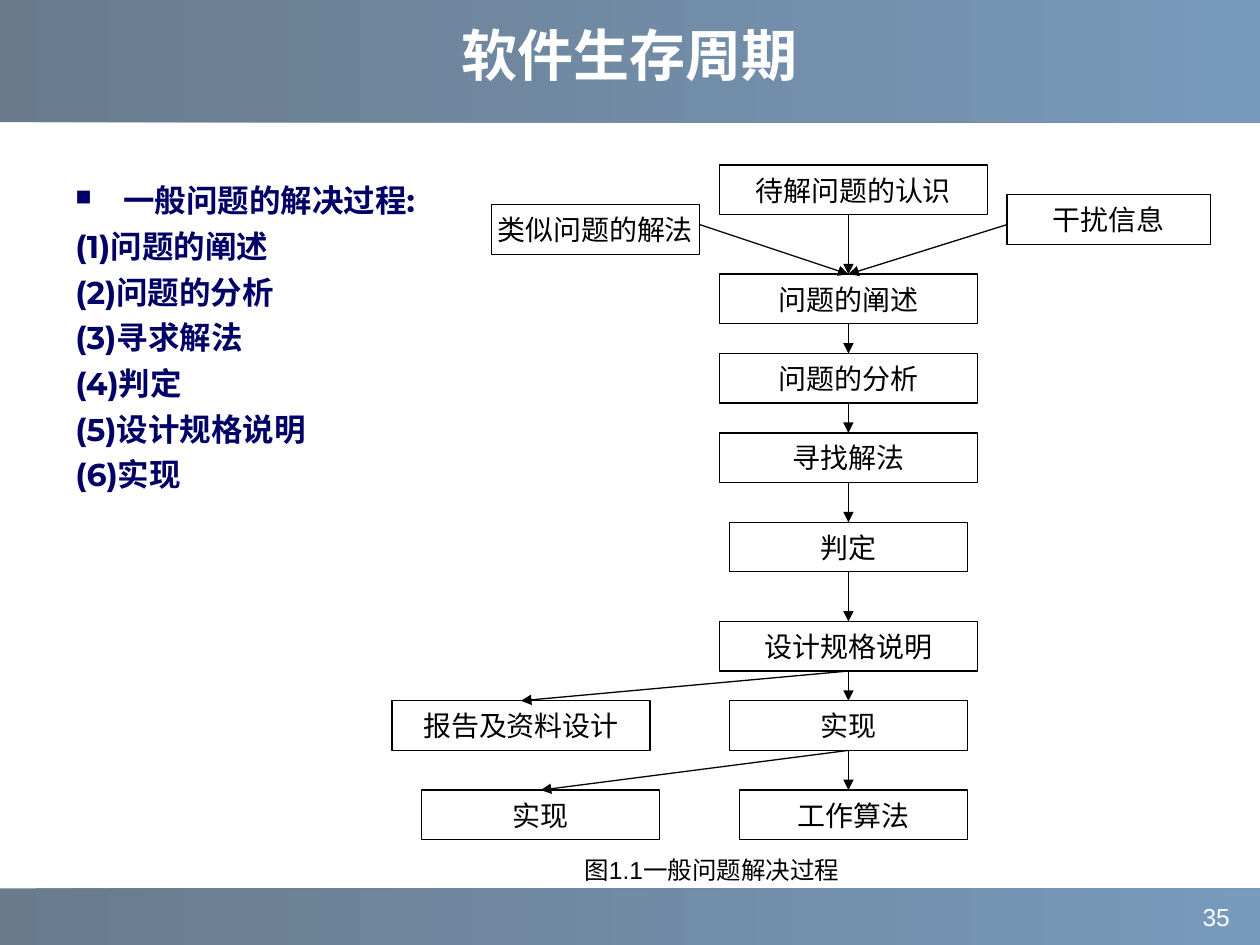
from dataclasses import dataclass

from lxml import etree
from pptx import Presentation
from pptx import util as u
from pptx.dml.color import RGBColor
from pptx.enum import shapes, text
from pptx.oxml.ns import qn


@dataclass(frozen=True)
class Theme:
    white: str = "FFFFFF"
    ink: str = "000000"
    navy: str = "000066"
    band_colors: tuple[str, str] = ("1C3853", "336699")
    band_alpha: int = 66
    title_font: str = "Noto Sans CJK SC"
    list_font: str = "Montserrat"
    font: str = "Arial"
    title_size: int = 32
    list_size: int = 18
    step_size: int = 16
    small_size: int = 14
    line_width: float = 0.75


@dataclass(frozen=True)
class Area:
    """Left, top, width and height in percent of the slide."""
    left: float
    top: float
    width: float
    height: float

    def emu(self) -> tuple[int, int, int, int]:
        return (int(WIDTH * self.left / 100), int(HEIGHT * self.top / 100),
                int(WIDTH * self.width / 100), int(HEIGHT * self.height / 100))


@dataclass(frozen=True)
class Step:
    """A flowchart step placed by grid column, row and column span."""
    label: str
    col: float
    row: float
    span: float


THEME = Theme()
WIDTH, HEIGHT = u.Inches(10), u.Inches(7.5)
UNIT = u.Mm(2)
ORIGIN_X, ORIGIN_Y = u.Inches(5.71), u.Inches(1.31)
STEP_ROWS = 5
AXIS = 13
SIDE_ROW = 6

BANDS = [Area(0, -0.4, 100, 13.33), Area(0, 94, 100, 6.67)]
TITLE = Area(5, 0, 90, 11.47)
OUTLINE = Area(5, 18.53, 90, 70.8)
CAPTION = Area(45.4, 89.87, 38, 4.53)
PAGE_NUMBER = Area(91, 94.8, 7.6, 5.6)

HEADING = "一般问题的解决过程:"
STAGES = ["问题的阐述", "问题的分析", "寻求解法", "判定", "设计规格说明", "实现"]

MAIN_STEPS = [
    Step("待解问题的认识", 0, 0, 27),
    Step("问题的阐述", 0, 11, 26),
    Step("问题的分析", 0, 19, 26),
    Step("寻找解法", 0, 27, 26),
    Step("判定", 1, 36, 24),
    Step("设计规格说明", 0, 46, 26),
    Step("实现", 1, 54, 24),
    Step("工作算法", 2, 63, 23),
]
REPORT = Step("报告及资料设计", -33, 54, 26)
REALISATION = Step("实现", -30, 63, 24)
NOISE = Step("干扰信息", 29, 3, 20.5)
SIMILAR = Step("类似问题的解法", -23, 4, 21)


def grid_x(col: float) -> int:
    return int(ORIGIN_X + col * UNIT)


def grid_y(row: float) -> int:
    return int(ORIGIN_Y + row * UNIT)


def rgb(color: str) -> RGBColor:
    return RGBColor.from_string(color)


def style(paragraph, font: str, size: int, color: str, bold: bool = False) -> None:
    for run in paragraph.runs:
        run.font.size = u.Pt(size)
        run.font.bold = bold
        run.font.color.rgb = rgb(color)
        run.font.name = font
        latin = run.font._element.find(qn("a:latin"))
        latin.addnext(latin.makeelement(qn("a:ea"), {"typeface": font}))


def add_band(slide, area: Area) -> None:
    band = slide.shapes.add_shape(shapes.MSO_SHAPE.RECTANGLE, *area.emu())
    band.shadow.inherit = False
    band.line.fill.background()
    band.fill.gradient()
    band.fill.gradient_angle = 0
    for stop, color in zip(band.fill.gradient_stops, THEME.band_colors):
        stop.color.rgb = rgb(color)
    for value in band._element.spPr.iter(qn("a:srgbClr")):
        etree.SubElement(value, qn("a:alpha"), val=str(THEME.band_alpha * 1000))
    slide.shapes._spTree.insert(2, band._element)


def add_label(slide, area: Area, label: str, color: str, align) -> None:
    frame = slide.shapes.add_textbox(*area.emu()).text_frame
    frame.word_wrap = True
    frame.text = label
    frame.paragraphs[0].alignment = align
    style(frame.paragraphs[0], THEME.font, THEME.small_size, color)


def add_title(slide, label: str) -> None:
    title = slide.shapes.title
    title.left, title.top, title.width, title.height = TITLE.emu()
    frame = title.text_frame
    frame.text = label
    frame.vertical_anchor = text.MSO_ANCHOR.MIDDLE
    frame.paragraphs[0].alignment = text.PP_ALIGN.CENTER
    style(frame.paragraphs[0], THEME.title_font, THEME.title_size, THEME.white, True)


def add_outline(slide) -> None:
    frame = slide.shapes.add_textbox(*OUTLINE.emu()).text_frame
    frame.word_wrap = True
    numbered = [f"({i}){stage}" for i, stage in enumerate(STAGES, 1)]
    frame.text = "\n".join([HEADING, *numbered])
    for paragraph in frame.paragraphs:
        paragraph.space_before = u.Pt(4.5)
        style(paragraph, THEME.list_font, THEME.list_size, THEME.navy, True)
        props = paragraph._p.get_or_add_pPr()
        indent = u.Inches(0.38)
        props.set("marL", str(indent))
        props.set("indent", str(-indent))
    props = frame.paragraphs[0]._p.get_or_add_pPr()
    bullet_color = etree.SubElement(props, qn("a:buClr"))
    etree.SubElement(bullet_color, qn("a:srgbClr"), val=THEME.navy)
    etree.SubElement(props, qn("a:buSzPct"), val="70000")
    etree.SubElement(props, qn("a:buChar"), char="■")


def add_step(slide, step: Step) -> None:
    box = slide.shapes.add_shape(
        shapes.MSO_SHAPE.RECTANGLE, grid_x(step.col), grid_y(step.row),
        int(step.span * UNIT), STEP_ROWS * UNIT)
    box.shadow.inherit = False
    box.fill.solid()
    box.fill.fore_color.rgb = rgb(THEME.white)
    box.line.color.rgb = rgb(THEME.ink)
    box.line.width = u.Pt(THEME.line_width)
    frame = box.text_frame
    frame.word_wrap = False
    frame.vertical_anchor = text.MSO_ANCHOR.MIDDLE
    frame.text = step.label
    frame.paragraphs[0].alignment = text.PP_ALIGN.CENTER
    style(frame.paragraphs[0], THEME.font, THEME.step_size, THEME.ink)


def add_arrow(slide, start: tuple[float, float], end: tuple[float, float]) -> None:
    arrow = slide.shapes.add_connector(
        shapes.MSO_CONNECTOR.STRAIGHT, grid_x(start[0]), grid_y(start[1]),
        grid_x(end[0]), grid_y(end[1]))
    arrow.line.color.rgb = rgb(THEME.ink)
    arrow.line.width = u.Pt(THEME.line_width)
    etree.SubElement(arrow.line._get_or_add_ln(), qn("a:tailEnd"), type="triangle")
    etree.SubElement(arrow._element.spPr, qn("a:effectLst"))


def add_flowchart(slide) -> None:
    for step in [*MAIN_STEPS, REPORT, REALISATION, NOISE, SIMILAR]:
        add_step(slide, step)
    for upper, lower in zip(MAIN_STEPS, MAIN_STEPS[1:]):
        add_arrow(slide, (AXIS, upper.row + STEP_ROWS), (AXIS, lower.row))
    for source, branch in zip(MAIN_STEPS[5:7], (REPORT, REALISATION)):
        add_arrow(slide, (AXIS, source.row + STEP_ROWS),
                  (branch.col + branch.span / 2, branch.row))
    for side_col in (SIMILAR.col + SIMILAR.span, NOISE.col):
        add_arrow(slide, (side_col, SIDE_ROW), (AXIS, MAIN_STEPS[1].row))


def main() -> None:
    deck = Presentation()
    deck.slide_width, deck.slide_height = WIDTH, HEIGHT
    slide = deck.slides.add_slide(deck.slide_layouts[5])
    for area in BANDS:
        add_band(slide, area)
    add_label(slide, PAGE_NUMBER, "35", THEME.white, text.PP_ALIGN.RIGHT)
    add_title(slide, "软件生存周期")
    add_outline(slide)
    add_flowchart(slide)
    add_label(slide, CAPTION, "图1.1一般问题解决过程", THEME.ink, text.PP_ALIGN.LEFT)
    deck.save("out.pptx")


if __name__ == "__main__":
    main()
